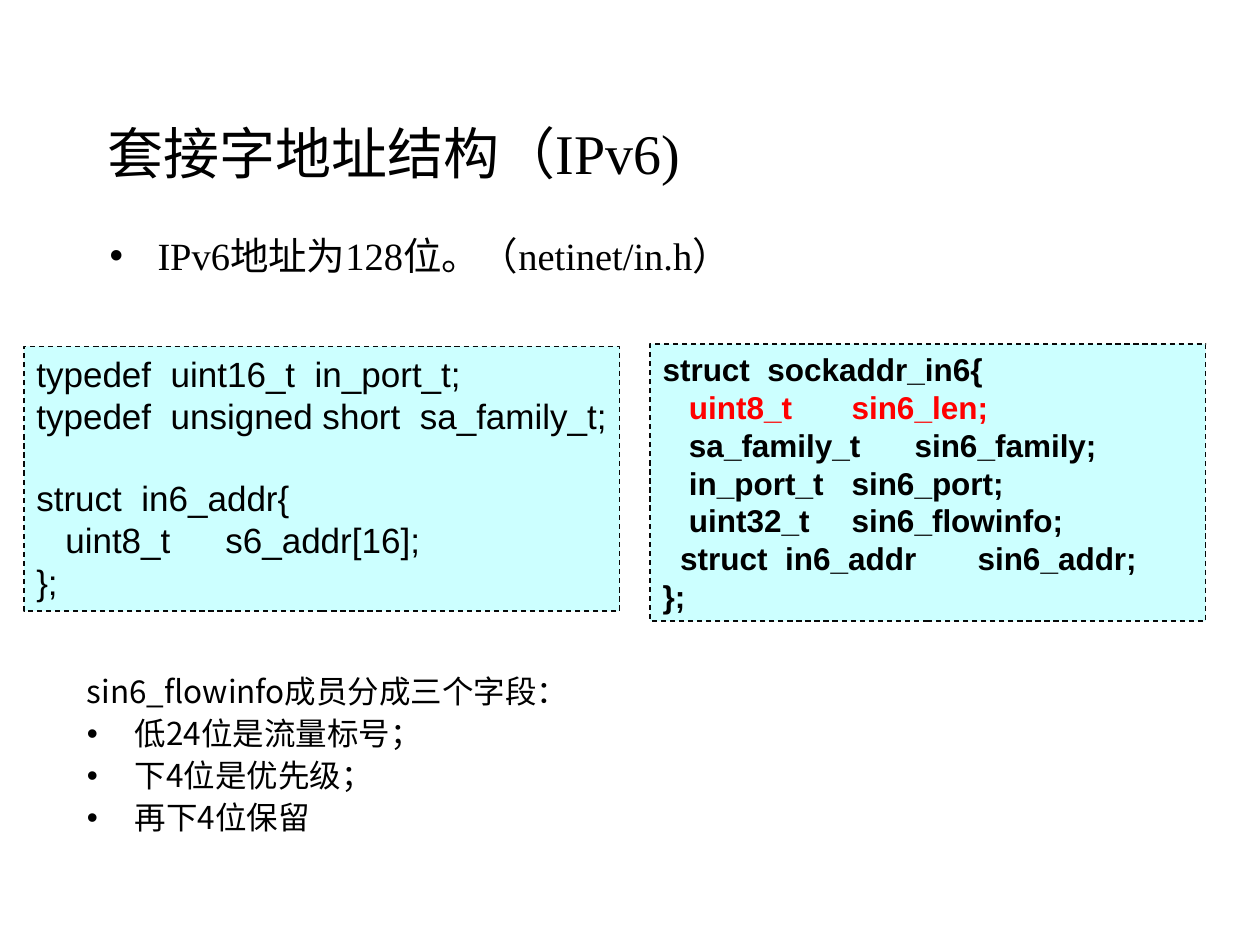
from dataclasses import dataclass

import pptx
import pptx.dml.color
import pptx.enum.dml
import pptx.enum.shapes
import pptx.enum.text
import pptx.oxml.ns
import pptx.util
from lxml import etree

Inches = pptx.util.Inches
Pt = pptx.util.Pt
RGBColor = pptx.dml.color.RGBColor
AutoSize = pptx.enum.text.MSO_AUTO_SIZE

BLACK = RGBColor(0x00, 0x00, 0x00)
RED = RGBColor(0xFF, 0x00, 0x00)
PALE_CYAN = RGBColor(0xCC, 0xFF, 0xFF)
BORDER = RGBColor(0x08, 0x08, 0x08)
SERIF, SANS, CHINESE = "Times New Roman", "Arial", "Noto Sans CJK SC"


@dataclass
class CodeLine:
    text: str
    indent: float = 0  # inches
    before: float = 0  # points
    color: RGBColor = BLACK


@dataclass
class CodeBox:
    left: float
    top: float
    width: float
    height: float
    size: float
    bold: bool
    wrap: bool
    tab: float
    lines: list[CodeLine]


CODE_BOXES = [
    CodeBox(0.19, 2.75, 4.73, 2.1, 20, False, False, 2, [
        CodeLine("typedef  uint16_t  in_port_t;"),
        CodeLine("typedef  unsigned short  sa_family_t;"),
        CodeLine("struct  in6_addr{", before=23),
        CodeLine("uint8_t\ts6_addr[16];", indent=0.23),
        CodeLine("};"),
    ]),
    CodeBox(5.16, 2.73, 4.41, 2.2, 18, True, True, 2.14, [
        CodeLine("struct  sockaddr_in6{"),
        CodeLine("uint8_t\tsin6_len;", indent=0.21, color=RED),
        CodeLine("sa_family_t\tsin6_family;", indent=0.21),
        CodeLine("in_port_t\tsin6_port;", indent=0.21),
        CodeLine("uint32_t\tsin6_flowinfo;", indent=0.21),
        CodeLine("struct  in6_addr\tsin6_addr;", indent=0.14),
        CodeLine("};"),
    ]),
]
FLOW_FIELDS = ["低24位是流量标号；", "下4位是优先级；", "再下4位保留"]


def add_element(parent, tag: str, **attributes: str):
    return etree.SubElement(parent, pptx.oxml.ns.qn(tag), attributes)


def write(frame, text: str, *, size: float, font: str, color: RGBColor = BLACK,
          bold: bool = False, before: float = 0, spacing: float = 1,
          margin: float = 0, indent: float = 0, bullet: bool = False,
          tab: float | None = None) -> None:
    """Write a paragraph, filling the frame's empty first one if there is one."""
    first = frame.paragraphs[0]
    para = frame.add_paragraph() if first.runs else first
    para.alignment = pptx.enum.text.PP_ALIGN.LEFT
    para.space_before = Pt(before)
    para.line_spacing = spacing
    span = para.add_run()
    span.text = text
    span.font.size, span.font.name, span.font.bold = Pt(size), font, bold
    span.font.color.rgb = color
    add_element(span.font._element, "a:ea", typeface=CHINESE)

    # Indents, bullet and tab stop
    properties = para._p.get_or_add_pPr()
    properties.set("marL", str(Inches(margin)))
    properties.set("indent", str(Inches(indent)))
    if bullet:
        bullet_color = add_element(properties, "a:buClr")
        add_element(bullet_color, "a:srgbClr", val=str(BLACK))
        add_element(properties, "a:buFont", typeface=SANS)
        add_element(properties, "a:buChar", char="•")
    else:
        add_element(properties, "a:buNone")
    if tab is not None:
        stops = add_element(properties, "a:tabLst")
        add_element(stops, "a:tab", pos=str(Inches(tab)), algn="l")


def place(box, left: float, top: float, width: float, height: float):
    """Move a placeholder and return its text frame."""
    box.left, box.top = Inches(left), Inches(top)
    box.width, box.height = Inches(width), Inches(height)
    box.text_frame.word_wrap = True
    box.text_frame.auto_size = AutoSize.NONE
    return box.text_frame


def draw_code(page, code: CodeBox) -> None:
    box = page.shapes.add_shape(
        pptx.enum.shapes.MSO_SHAPE.RECTANGLE, Inches(code.left), Inches(code.top),
        Inches(code.width), Inches(code.height))
    box.shadow.inherit = False
    box.fill.solid()
    box.fill.fore_color.rgb = PALE_CYAN
    box.line.color.rgb = BORDER
    box.line.width = Pt(0.75)
    box.line.dash_style = pptx.enum.dml.MSO_LINE.DASH
    frame = box.text_frame
    frame.word_wrap = code.wrap
    frame.auto_size = AutoSize.SHAPE_TO_FIT_TEXT
    frame.vertical_anchor = pptx.enum.text.MSO_ANCHOR.TOP
    for line in code.lines:
        write(frame, line.text, size=code.size, font=SANS, bold=code.bold,
              color=line.color, before=line.before, indent=line.indent, tab=code.tab)


def main() -> None:
    deck = pptx.Presentation()
    deck.slide_width, deck.slide_height = Inches(10), Inches(7.5)
    page = deck.slides.add_slide(deck.slide_layouts.get_by_name("Two Content"))
    title, intro, fields = list(page.placeholders)[:3]

    # Title and introduction
    frame = place(title, 0.75, 0.67, 8.5, 1.08)
    frame.vertical_anchor = pptx.enum.text.MSO_ANCHOR.MIDDLE
    write(frame, "套接字地址结构（IPv6)", size=32, font=SERIF)
    hanging = dict(margin=0.38, indent=-0.38, spacing=0.9)
    write(place(intro, 0.77, 1.83, 8.5, 0.58), "IPv6地址为128位。（netinet/in.h）",
          size=22, font=SERIF, before=5.5, bullet=True, **hanging)

    # Type definitions and the socket address structure
    for code in CODE_BOXES:
        draw_code(page, code)

    # Fields of sin6_flowinfo
    frame = place(fields, 0.59, 5.32, 8.5, 0.7)
    for text in ["sin6_flowinfo成员分成三个字段：", *FLOW_FIELDS]:
        write(frame, text, size=18, font=CHINESE, before=4.5,
              bullet=text in FLOW_FIELDS, **hanging)

    deck.save("out.pptx")


if __name__ == "__main__":
    main()
